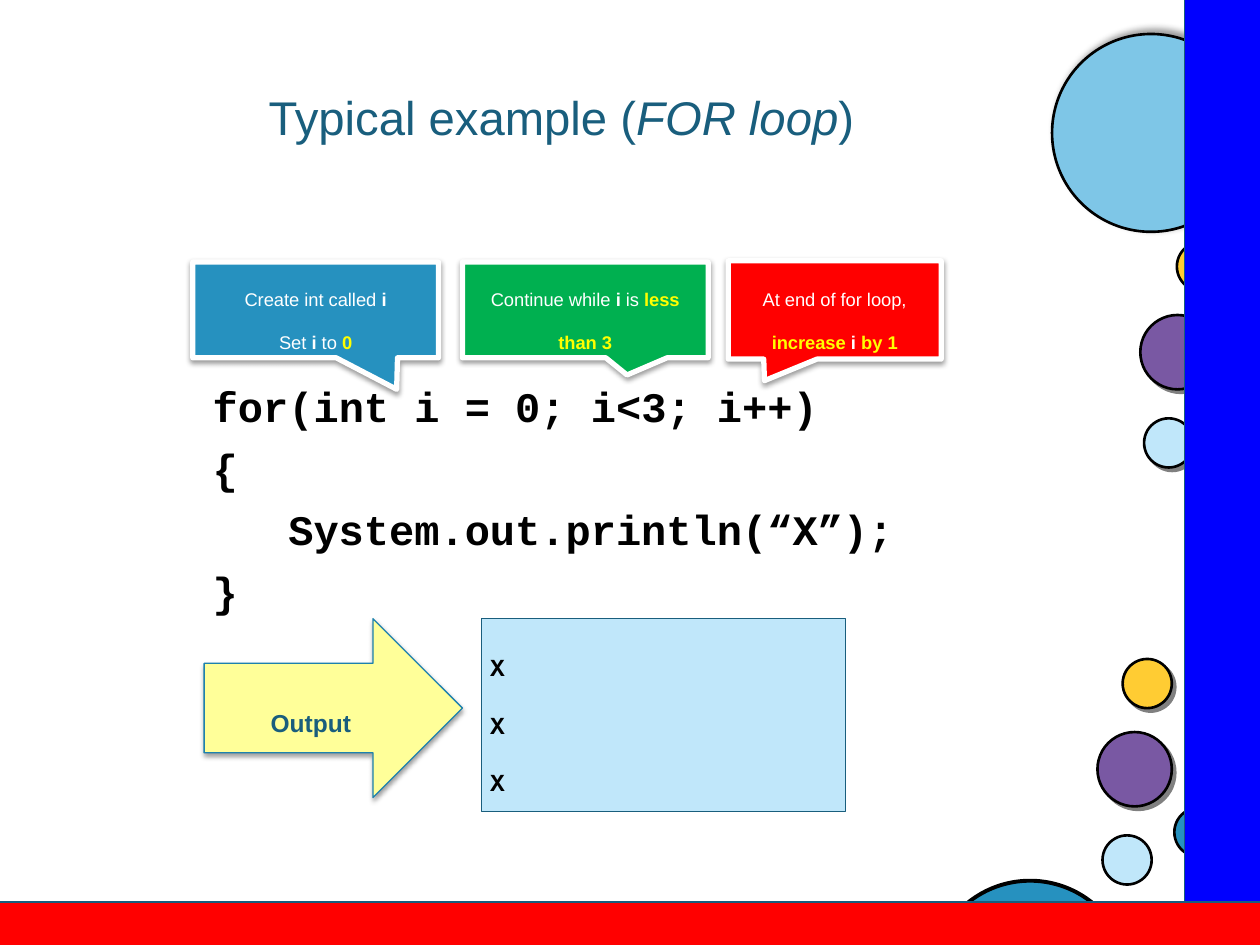
from dataclasses import dataclass

from lxml import etree
from pptx import Presentation
from pptx.dml.color import RGBColor
from pptx.enum.shapes import MSO_SHAPE as Shape
from pptx.enum.text import MSO_ANCHOR as Anchor, PP_ALIGN as Align
from pptx.oxml.ns import qn
from pptx.util import Inches, Pt


@dataclass(frozen=True)
class Theme:
    navy: str = "195E7D"
    blue: str = "2691BF"
    sky: str = "7EC6E7"
    pale: str = "C0E7FA"
    gold: str = "FFCC33"
    purple: str = "7958A3"
    cream: str = "FFFF99"
    arrow_line: str = "1D81AD"
    green: str = "00B050"
    red: str = "FF0000"
    side_blue: str = "0000FF"
    yellow: str = "FFFF00"
    white: str = "FFFFFF"
    black: str = "000000"
    sans: str = "Arial"
    mono: str = "Courier New"
    title_size: float = 27
    code_size: float = 24
    output_size: float = 14
    callout_size: float = 10.5


theme = Theme()
# colour, opacity in percent, blur, distance, direction in degrees
DISC_SHADOW = ("808080", 100, 0, 2.8, 45)
BIG_DISC_SHADOW = (theme.black, 40, 4, 3, 315)
SOFT_SHADOW = (theme.black, 38, 3.1, 1.6, 90)


def add_shape(kind, box, fill, line, width, shadow=None):
    shape = slide.shapes.add_shape(kind, *map(Inches, box))
    shape.fill.solid()
    shape.fill.fore_color.rgb = RGBColor.from_string(fill)
    shape.line.color.rgb = RGBColor.from_string(line)
    shape.line.width = Pt(width)
    shape.shadow.inherit = False
    if shadow:
        colour, opacity, blur, distance, direction = shadow
        effects = shape._element.spPr.find(qn("a:effectLst"))
        outer = etree.SubElement(
            effects, qn("a:outerShdw"), blurRad=str(Pt(blur)), dist=str(Pt(distance)),
            dir=str(direction * 60000), algn="ctr", rotWithShape="0")
        tint = etree.SubElement(outer, qn("a:srgbClr"), val=colour)
        etree.SubElement(tint, qn("a:alpha"), val=str(opacity * 1000))
    return shape


def write(shape, paragraphs, font, frame=None, layout=None):
    """Fill a shape with paragraphs of (text, font changes) runs."""
    text_frame = shape.text_frame
    for name, value in {"word_wrap": True, **(frame or {})}.items():
        setattr(text_frame, name, value)
    for index, runs in enumerate(paragraphs):
        paragraph = text_frame.paragraphs[0] if index == 0 else text_frame.add_paragraph()
        for name, value in (layout or {}).items():
            setattr(paragraph, name, value)
        for text, changes in runs:
            run = paragraph.add_run()
            run.text = text
            values = {**font, **changes}
            run.font.color.rgb = RGBColor.from_string(values.pop("colour"))
            for name, value in values.items():
                setattr(run.font, name, value)


presentation = Presentation()
presentation.slide_width = Inches(10)
presentation.slide_height = Inches(7.5)
slide = presentation.slides.add_slide(presentation.slide_layouts[6])

# Decorative discs, then the bands that cover their edges
discs = [
    (8.91, 5.23, 0.39, theme.gold, 1.5, DISC_SHADOW),
    (8.71, 5.81, 0.59, theme.purple, 1.5, DISC_SHADOW),
    (8.75, 6.63, 0.39, theme.pale, 1.5, None),
    (9.32, 6.41, 0.39, theme.blue, 1.5, None),
    (8.35, 0.27, 1.57, theme.sky, 1.5, BIG_DISC_SHADOW),
    (9.34, 1.92, 0.39, theme.gold, 1.5, DISC_SHADOW),
    (9.05, 2.5, 0.59, theme.purple, 1.5, DISC_SHADOW),
    (9.08, 3.32, 0.39, theme.pale, 1.5, DISC_SHADOW),
    (7.39, 6.99, 1.57, theme.blue, 2.25, None),
]
for left, top, size, fill, width, shadow in discs:
    add_shape(Shape.OVAL, (left, top, size, size), fill, theme.black, width, shadow)
add_shape(Shape.RECTANGLE, (9.4, -0.12, 0.85, 8.15), theme.side_blue, theme.navy, 0.75)
add_shape(Shape.RECTANGLE, (-0.2, 7.16, 11.07, 0.61), theme.red, theme.navy, 0.75)

# Title
title = slide.shapes.add_textbox(*map(Inches, (0.5, 0.3, 7.91, 1.25)))
title_font = {"name": theme.sans, "size": Pt(theme.title_size), "colour": theme.navy}
write(title, [[("Typical example (", {}), ("FOR loop", {"italic": True}), (")", {})]],
      title_font, {"vertical_anchor": Anchor.MIDDLE}, {"alignment": Align.CENTER})

# Code
code = slide.shapes.add_textbox(*map(Inches, (1.59, 2.97, 6.23, 3.12)))
code_font = {"name": theme.mono, "size": Pt(theme.code_size), "bold": True,
             "colour": theme.black}
code_lines = ["for(int i = 0; i<3; i++)", "{", "System.out.println(“X”);", "}"]
write(code, [[(line, {})] for line in code_lines], code_font,
      layout={"space_before": Pt(6.4)})
code.text_frame.paragraphs[2]._p.get_or_add_pPr().set("marL", str(Inches(0.6)))

# Output arrow and box
insets = {"margin_left": Inches(0.07), "margin_right": Inches(0.07),
          "margin_top": Inches(0.04), "margin_bottom": Inches(0.04)}
centred = {**insets, "vertical_anchor": Anchor.MIDDLE}
output_font = {**code_font, "size": Pt(theme.output_size)}
arrow = add_shape(Shape.RIGHT_ARROW, (1.62, 4.91, 2.05, 1.42), theme.cream,
                  theme.arrow_line, 0.75, SOFT_SHADOW)
write(arrow, [[("Output", {})]],
      {**output_font, "name": theme.sans, "colour": theme.navy}, centred,
      {"alignment": Align.CENTER, "line_spacing": Pt(33)})
output_box = add_shape(Shape.RECTANGLE, (3.82, 4.91, 2.89, 1.53), theme.pale,
                       theme.navy, 0.75)
write(output_box, [[("X", {})]] * 3, output_font,
      {**insets, "vertical_anchor": Anchor.TOP},
      {"alignment": Align.LEFT, "line_spacing": Pt(33)})

# Callouts that explain the three parts of the loop header
bold = {"bold": True}
key = {"bold": True, "colour": theme.yellow}
callouts = [
    ((1.53, 2.08, 1.95, 0.76), (0.33, 0.83), theme.blue,
     [[("Create int called ", {}), ("i", bold)],
      [("Set ", {}), ("i ", bold), ("to ", {}), ("0", key)]]),
    ((3.67, 2.08, 1.95, 0.76), (0.17, 0.68), theme.green,
     [[("Continue while ", {}), ("i", bold), (" is ", {}), ("less than 3", key)]]),
    ((5.78, 2.07, 1.69, 0.78), (-0.33, 0.72), theme.red,
     [[("At end of for loop, ", {}), ("increase", key), (" i ", bold), ("by 1", key)]]),
]
callout_font = {"name": theme.sans, "size": Pt(theme.callout_size), "bold": False,
                "colour": theme.white}
for box, tip, fill, paragraphs in callouts:
    callout = add_shape(Shape.RECTANGULAR_CALLOUT, box, fill, theme.white, 3, SOFT_SHADOW)
    callout.adjustments[0], callout.adjustments[1] = tip
    write(callout, paragraphs, callout_font, centred,
          {"alignment": Align.CENTER, "line_spacing": Pt(24.6)})

presentation.save("out.pptx")
